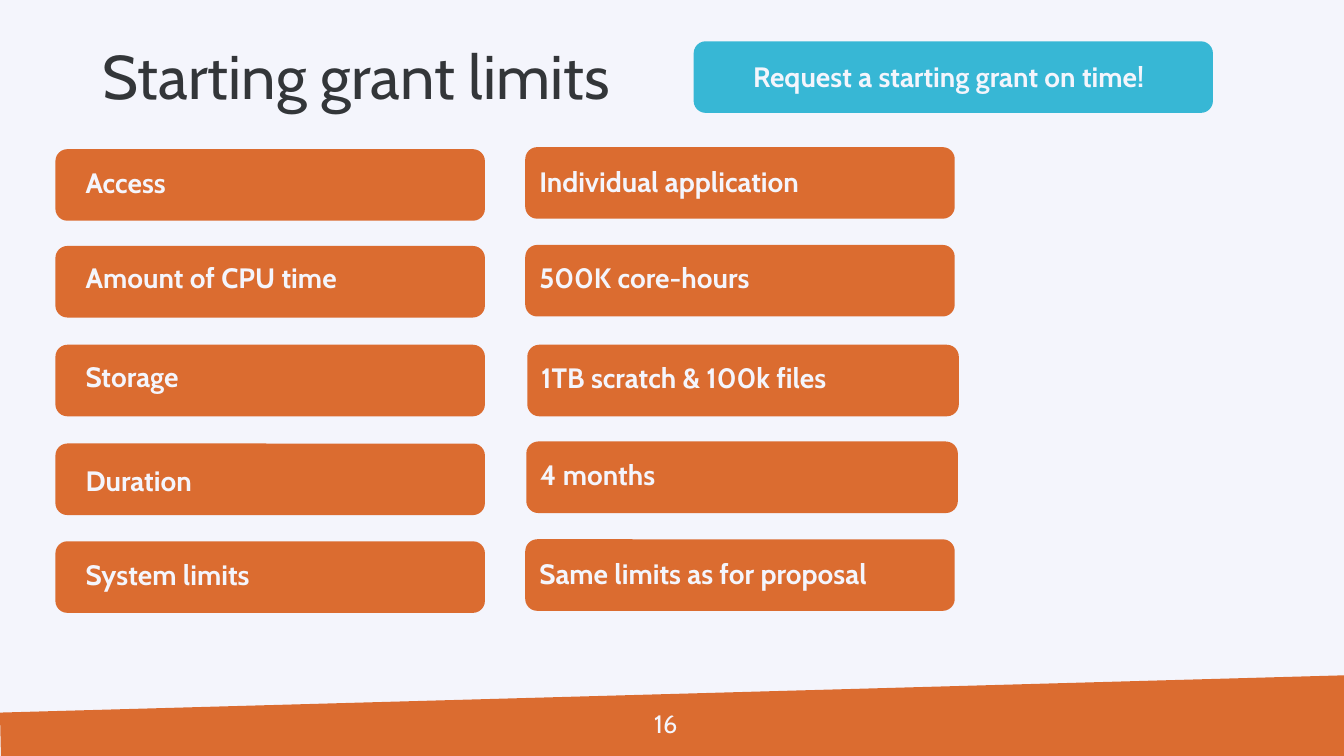
from dataclasses import dataclass

from pptx import Presentation
from pptx.dml.color import RGBColor
from pptx.enum.shapes import MSO_SHAPE
from pptx.enum.text import MSO_ANCHOR, MSO_AUTO_SIZE
from pptx.shapes.autoshape import Shape
from pptx.shapes.shapetree import GroupShapes, SlideShapes
from pptx.util import Emu, Pt

EMU_PER_PX = 9144  # 100 px to the inch
CARD_HEIGHT = 71
CAPTION_HEIGHT = 44


@dataclass(frozen=True)
class Theme:
    font: str = "Cabin"
    paper: RGBColor = RGBColor(0xF4, 0xF5, 0xFC)
    ink: RGBColor = RGBColor(0x33, 0x36, 0x39)
    orange: RGBColor = RGBColor(0xDB, 0x6C, 0x30)
    blue: RGBColor = RGBColor(0x37, 0xB7, 0xD5)
    title_size: int = 44
    caption_size: int = 20
    number_size: int = 18


THEME = Theme()


@dataclass(frozen=True)
class Card:
    text: str
    left: int
    top: int
    caption_top: int
    width: int = 426
    caption_inset: int = 20
    caption_width: int = 400
    fill: RGBColor = THEME.orange


def label_card(text: str, top: int, caption_top: int) -> Card:
    return Card(text, 55, top, caption_top)


def value_card(text: str, left: int, top: int, caption_top: int, width: int = 426) -> Card:
    return Card(text, left, top, caption_top, width, 4, width - 5)


LIMITS = (
    label_card("Access", 148, 159),
    label_card("Amount of CPU time", 244, 254),
    label_card("Storage", 342, 352),
    label_card("Duration", 440, 455),
    label_card("System limits", 537, 548),
    value_card("Individual application", 521, 146, 158),
    value_card("500K core-hours", 521, 243, 254),
    value_card("1TB scratch & 100k files", 523, 342, 353, 428),
    value_card("4 months", 522, 438, 449, 428),
    value_card("Same limits as for proposal", 521, 535, 547),
)
REMINDER = Card("Request a starting grant on time!", 688, 41, 54, 515, 49, 532, THEME.blue)


def px(length: int) -> Emu:
    return Emu(length * EMU_PER_PX)


def paint(shape: Shape, fill: RGBColor) -> None:
    """Give a shape a flat fill without line or shadow."""
    shape.shadow.inherit = False
    shape.fill.solid()
    shape.fill.fore_color.rgb = fill
    shape.line.fill.background()


def add_text(shapes: SlideShapes | GroupShapes, text: str, left: int, top: int,
             width: int, height: int, size: int, color: RGBColor,
             bold: bool = False) -> Shape:
    box = shapes.add_textbox(px(left), px(top), px(width), px(height))
    frame = box.text_frame
    frame.text = text
    frame.word_wrap = True
    font = frame.paragraphs[0].runs[0].font
    font.name = THEME.font
    font.size = Pt(size)
    font.bold = bold
    font.color.rgb = color
    return box


def add_card(shapes: SlideShapes, card: Card) -> None:
    group = shapes.add_group_shape().shapes
    plate = group.add_shape(MSO_SHAPE.ROUNDED_RECTANGLE, px(card.left), px(card.top),
                            px(card.width), px(CARD_HEIGHT))
    paint(plate, card.fill)
    caption = add_text(group, card.text, card.left + card.caption_inset, card.caption_top,
                       card.caption_width, CAPTION_HEIGHT, THEME.caption_size,
                       THEME.paper, bold=True)
    caption.text_frame.auto_size = MSO_AUTO_SIZE.SHAPE_TO_FIT_TEXT


def add_footer(shapes: SlideShapes) -> None:
    outline = shapes.build_freeform(0, 707, scale=EMU_PER_PX)
    outline.add_line_segments([(1333, 670), (1333, 750), (1, 750)], close=True)
    paint(outline.convert_to_shape(), THEME.orange)


def main() -> None:
    deck = Presentation()
    deck.slide_width, deck.slide_height = px(1333), px(750)
    slide = deck.slides.add_slide(deck.slide_layouts[6])
    slide.background.fill.solid()
    slide.background.fill.fore_color.rgb = THEME.paper

    add_footer(slide.shapes)
    title = add_text(slide.shapes, "Starting grant limits", 92, 40, 1150, 77,
                     THEME.title_size, THEME.ink)
    title.text_frame.vertical_anchor = MSO_ANCHOR.MIDDLE
    title.text_frame.paragraphs[0].line_spacing = 0.9
    for card in (*LIMITS, REMINDER):
        add_card(slide.shapes, card)
    add_text(slide.shapes, "16", 639, 698, 55, 40, THEME.number_size, THEME.paper)

    deck.save("out.pptx")


if __name__ == "__main__":
    main()
